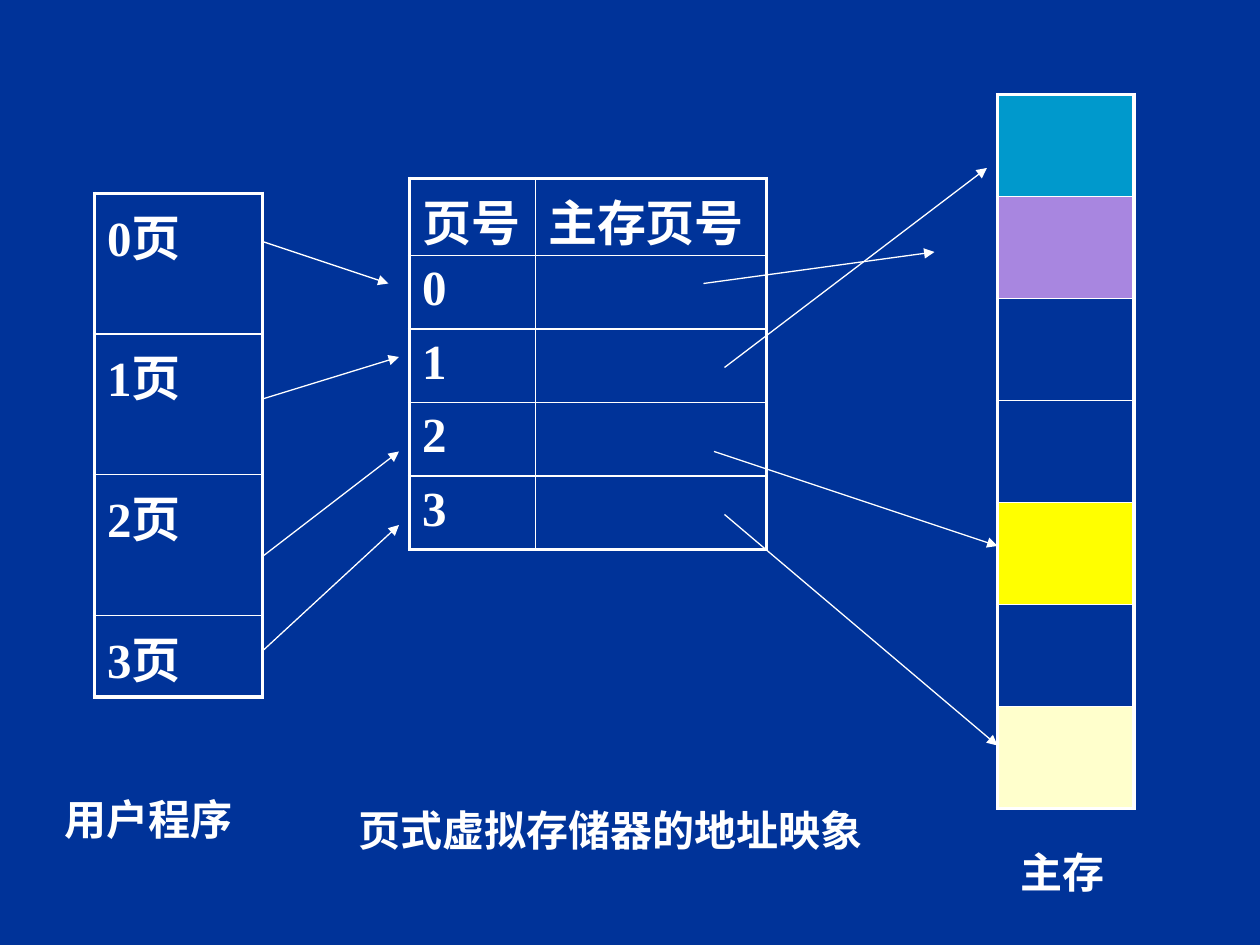
from lxml import etree
from pptx import Presentation
from pptx import util as u
from pptx.dml.color import RGBColor
from pptx.enum import shapes
from pptx.oxml import ns

WHITE = "FFFFFF"
SERIF, SANS = "Times New Roman", "Noto Sans CJK SC"


def rgb(value):
    return RGBColor.from_string(value)


def write(tf, text, size, font):
    tf.text = text
    for r in tf.paragraphs[0].runs:
        r.font.size = u.Pt(size)
        r.font.bold = True
        r.font.name = font
        r.font.color.rgb = rgb(WHITE)
        ea = etree.SubElement(r.font._element, ns.qn("a:ea"))
        ea.set("typeface", SANS)


prs = Presentation()
prs.slide_width, prs.slide_height = u.Inches(10), u.Inches(7.5)
unit = prs.slide_width / 120
s = prs.slides.add_slide(prs.slide_layouts[6])
s.background.fill.solid()
s.background.fill.fore_color.rgb = rgb("003399")

program = [[f"{n}页"] for n in range(4)]
page_table = [["页号", "主存页号"]] + [[str(n), ""] for n in range(4)]
memory = [[""] for n in range(7)]
memory_fills = {0: "0099CC", 1: "A886E0", 4: "FFFF00", 6: "FFFFCC"}
tables = [
    (9, 18.4, [16], [13.4] * 3 + [7.8], program, {}),
    (39, 17, [12, 22], [7] * 5, page_table, {}),
    (95, 9, [13], [68 / 7] * 7, memory, memory_fills),
]
for left, top, widths, heights, rows, fills in tables:
    box = [int(v * unit) for v in (left, top, sum(widths), sum(heights))]
    tbl = s.shapes.add_table(len(heights), len(widths), *box).table
    tbl.first_row = tbl.horz_banding = False
    for col, width in zip(tbl.columns, widths):
        col.width = int(width * unit)
    for i, height in enumerate(heights):
        tbl.rows[i].height = int(height * unit)
        for j, text in enumerate(rows[i]):
            cell = tbl.cell(i, j)
            cell.margin_bottom = 0
            if text:
                write(cell.text_frame, text, 28, SERIF)
            outer = {"L": j == 0, "R": j == len(widths) - 1,
                     "T": i == 0, "B": i == len(heights) - 1}
            tcPr = cell._tc.get_or_add_tcPr()
            for side, edge in outer.items():
                ln = etree.SubElement(tcPr, ns.qn(f"a:ln{side}"))
                ln.set("w", str(u.Pt(2.25 if edge else 1)))
                fill = etree.SubElement(ln, ns.qn("a:solidFill"))
                etree.SubElement(fill, ns.qn("a:srgbClr")).set("val", WHITE)
            if i in fills:
                cell.fill.solid()
                cell.fill.fore_color.rgb = rgb(fills[i])
            else:
                cell.fill.background()

arrows = [
    (25, 23, 37, 27), (25, 38, 38, 34), (25, 53, 38, 43), (25, 62, 38, 50),
    (67, 27, 89, 24), (69, 35, 94, 16), (68, 43, 95, 52), (69, 49, 95, 71),
]
for arrow in arrows:
    ends = [int(v * unit) for v in arrow]
    c = s.shapes.add_connector(shapes.MSO_CONNECTOR.STRAIGHT, *ends)
    c.line.color.rgb = rgb(WHITE)
    c.line.width = u.Pt(0.75)
    etree.SubElement(c.line._get_or_add_ln(), ns.qn("a:tailEnd")).set("type", "triangle")
    etree.SubElement(c._element.spPr, ns.qn("a:effectLst"))

captions = [
    ("用户程序", 5, 75, 30, SERIF),
    ("主存", 96, 80, 18, SERIF),
    ("页式虚拟存储器的地址映象", 33, 76, 53, SANS),
]
for text, left, top, width, font in captions:
    sp = s.shapes.add_textbox(*[int(v * unit) for v in (left, top, width, 6)])
    sp.text_frame.word_wrap = True
    write(sp.text_frame, text, 24, font)

prs.save("out.pptx")
